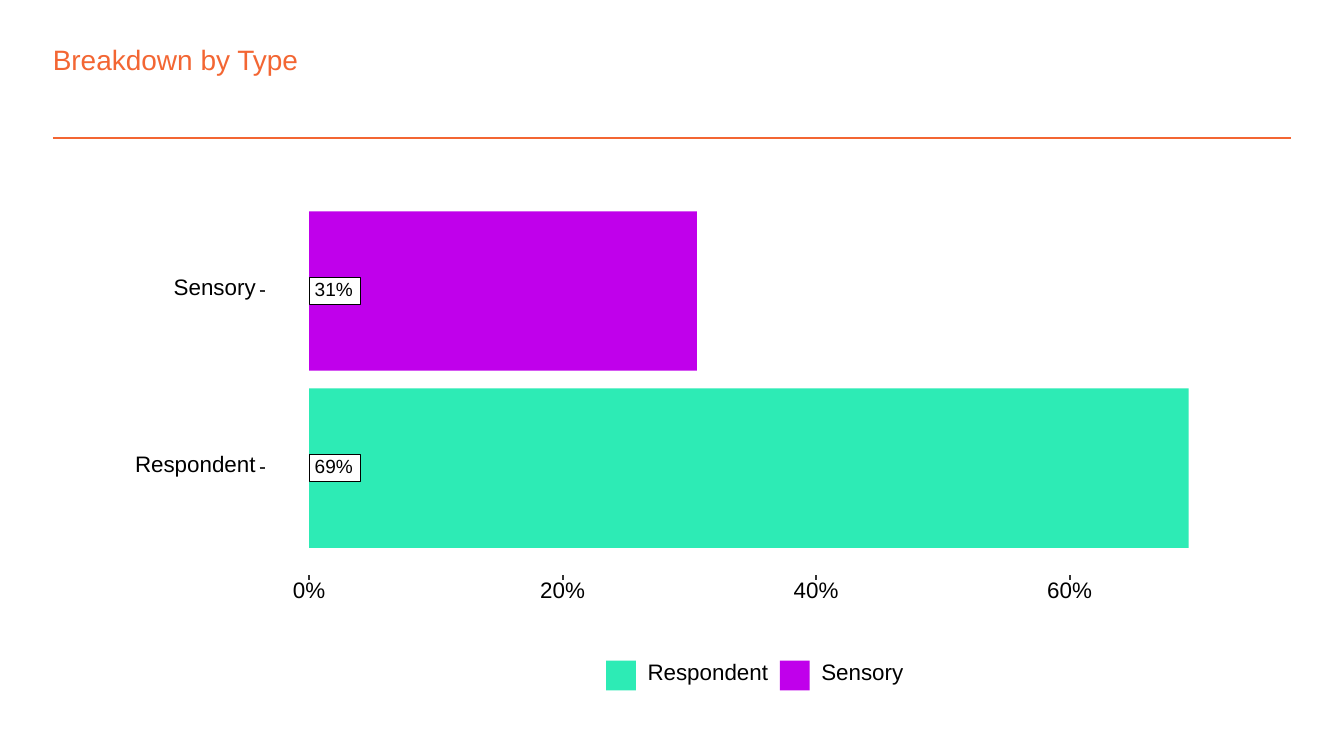
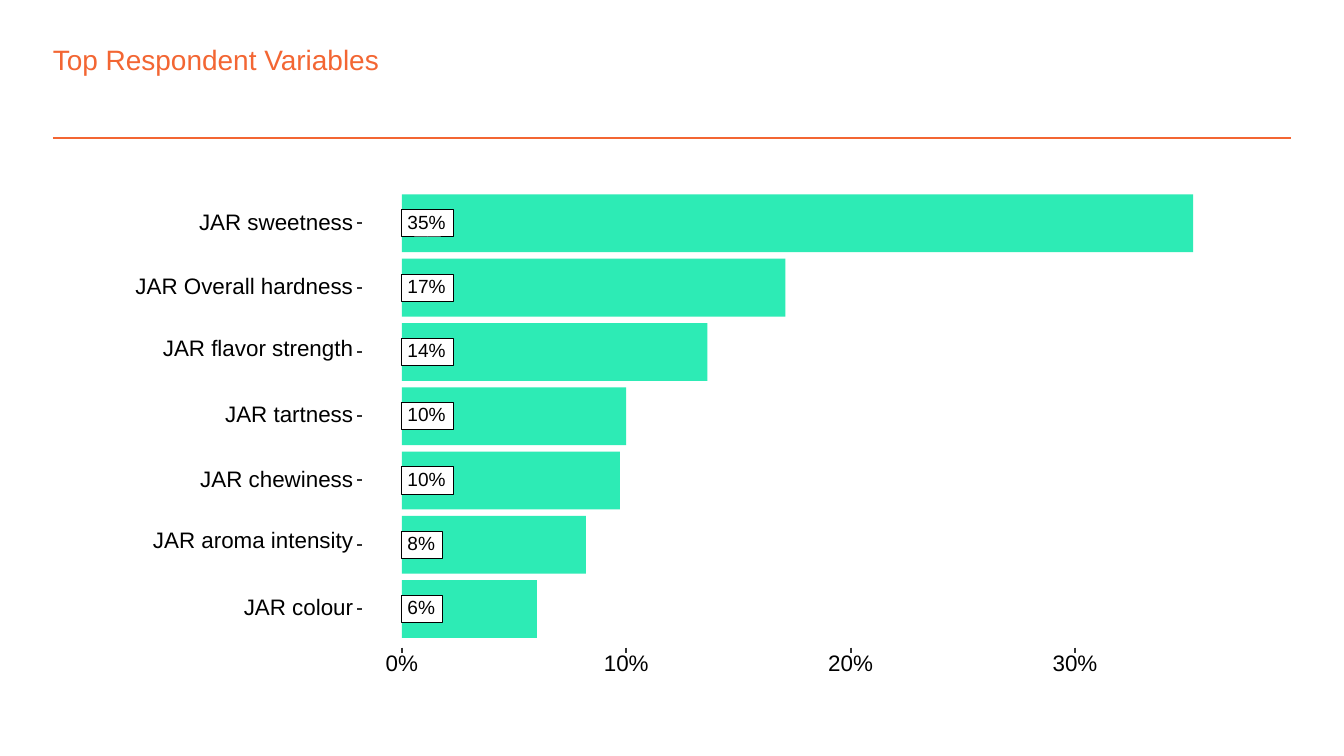
"""Build two bar breakdown slides with a shared title style."""
from dataclasses import dataclass

from lxml import etree
from pptx import Presentation
from pptx.dml.color import RGBColor
from pptx.enum.shapes import MSO_CONNECTOR, MSO_SHAPE
from pptx.enum.text import MSO_ANCHOR, PP_ALIGN
from pptx.oxml.ns import qn
from pptx.util import Pt

RECTANGLE = MSO_SHAPE.RECTANGLE
STRAIGHT = MSO_CONNECTOR.STRAIGHT
MIDDLE = MSO_ANCHOR.MIDDLE
LEFT, CENTER, RIGHT = PP_ALIGN.LEFT, PP_ALIGN.CENTER, PP_ALIGN.RIGHT

FONT = "Arial"
ORANGE = "F36633"
MINT = "2DEBB5"
PURPLE = "C000EB"
WHITE = "FFFFFF"
BLACK = "000000"
TICK_GRAY = "333333"

BLANK_LAYOUT = 6
TITLE_SIZE, AXIS_SIZE, VALUE_SIZE = 15, 12, 10.2
BAR_SHARE = 0.9
TICK_LENGTH = 2.75
TICK_WIDTH = 1.07
SWATCH_SIZE = 16


@dataclass
class Bar:
    """One category with its percentage, colour and label width."""
    label: str
    percent: float
    color: str
    label_width: float


@dataclass
class Plot:
    """Position and scale of a horizontal bar plot."""
    origin: float
    first_center: float
    pitch: float
    points_per_percent: float
    tick_left: float
    tick_top: float
    axis_step: int


TYPE_BARS = [
    Bar("Sensory", 30.6, PURPLE, 45),
    Bar("Respondent", 69.4, MINT, 66),
]
VARIABLE_BARS = [
    Bar("JAR sweetness", 35.27, MINT, 85),
    Bar("JAR Overall hardness", 17.1, MINT, 119),
    Bar("JAR flavor strength", 13.62, MINT, 104),
    Bar("JAR tartness", 10, MINT, 71),
    Bar("JAR chewiness", 9.72, MINT, 84),
    Bar("JAR aroma intensity", 8.2, MINT, 110),
    Bar("JAR colour", 6.02, MINT, 61),
]
TYPE_PLOT = Plot(165.6, 155.9, 94.9, 6.79, 139.1, 308.2, 20)
VARIABLE_PLOT = Plot(215.3, 119.68, 34.44, 12.02, 191.3, 347, 10)


def color_of(code):
    """Return the colour for a hex string."""
    return RGBColor.from_string(code)


def write_text(shape, text, size, color, align=LEFT):
    """Set one line of styled text without margins or wrapping."""
    frame = shape.text_frame
    frame.word_wrap = False
    frame.margin_left = frame.margin_right = 0
    frame.margin_top = frame.margin_bottom = 0
    frame.text = text
    para = frame.paragraphs[0]
    para.alignment = align
    font = para.runs[0].font
    font.name = FONT
    font.size = Pt(size)
    font.color.rgb = color_of(color)
    return frame


def add_rectangle(shapes, left, top, width, height, fill, line=None):
    """Add a flat rectangle with an optional thin outline."""
    shape = shapes.add_shape(RECTANGLE, Pt(left), Pt(top), Pt(width), Pt(height))
    shape.shadow.inherit = False
    shape.fill.solid()
    shape.fill.fore_color.rgb = color_of(fill)
    if line:
        shape.line.color.rgb = color_of(line)
        shape.line.width = Pt(0.53)
    else:
        shape.line.fill.background()
    return shape


def add_line(shapes, left, top, right, bottom, color, width):
    """Add a straight line without a shadow."""
    line = shapes.add_connector(STRAIGHT, Pt(left), Pt(top), Pt(right), Pt(bottom))
    line.line.color.rgb = color_of(color)
    line.line.width = Pt(width)
    etree.SubElement(line.element.spPr, qn("a:effectLst"))


def add_label(shapes, text, left, center, width, align):
    """Add a black axis label, raised slightly if it has descenders."""
    descends = any(letter in "gpqy" for letter in text)
    height = 11.2 if descends else 9
    lift = 1.4 if descends else 0
    box = shapes.add_textbox(Pt(left), Pt(center - lift - height / 2), Pt(width), Pt(height))
    frame = write_text(box, text, AXIS_SIZE, BLACK, align)
    frame.vertical_anchor = MIDDLE
    frame.paragraphs[0].line_spacing = Pt(AXIS_SIZE)


def add_value_tag(shapes, percent, left, center):
    """Add the outlined white tag with a rounded percentage."""
    text = f"{percent:.0f}%"
    width = 27.5 if len(text) > 2 else 22
    tag = add_rectangle(shapes, left, center - 7.3, width, 14.6, WHITE, BLACK)
    frame = write_text(tag, text, VALUE_SIZE, BLACK)
    frame.margin_left = Pt(3)
    frame.vertical_anchor = MIDDLE
    frame.paragraphs[0].line_spacing = Pt(VALUE_SIZE)


def add_bar(shapes, plot, index, bar):
    """Add a bar with its value tag, category label and tick."""
    center = plot.first_center + index * plot.pitch
    height = plot.pitch * BAR_SHARE
    width = bar.percent * plot.points_per_percent
    add_rectangle(shapes, plot.origin, center - height / 2, width, height, bar.color)
    add_value_tag(shapes, bar.percent, plot.origin, center)
    label_left = plot.tick_left - 2 - bar.label_width
    add_label(shapes, bar.label, label_left, center, bar.label_width, RIGHT)
    tick_right = plot.tick_left + TICK_LENGTH
    add_line(shapes, plot.tick_left, center, tick_right, center, TICK_GRAY, TICK_WIDTH)


def add_value_axis(shapes, plot):
    """Add four evenly spaced percentage ticks with labels."""
    for index in range(4):
        percent = index * plot.axis_step
        x = plot.origin + percent * plot.points_per_percent
        tick_bottom = plot.tick_top + TICK_LENGTH
        add_line(shapes, x, plot.tick_top, x, tick_bottom, TICK_GRAY, TICK_WIDTH)
        width = 26 if percent else 20
        add_label(shapes, f"{percent}%", x - width / 2, plot.tick_top + 9, width, CENTER)


def add_plot(page, plot, bars):
    """Add a grouped bar plot and return the shapes of its group."""
    shapes = page.shapes.add_group_shape().shapes
    for index, bar in enumerate(bars):
        add_bar(shapes, plot, index, bar)
    add_value_axis(shapes, plot)
    return shapes


def add_legend(shapes, bars):
    """Add a row of colour swatches with their names."""
    left = 324.7
    for bar in bars:
        add_rectangle(shapes, left, 354, SWATCH_SIZE, SWATCH_SIZE, bar.color)
        label_left = left + SWATCH_SIZE + 6.2
        add_label(shapes, bar.label, label_left, 362.4, bar.label_width, LEFT)
        left = label_left + bar.label_width + 4.9


def add_page(deck, title):
    """Add a blank slide with the shared title and rule."""
    page = deck.slides.add_slide(deck.slide_layouts[BLANK_LAYOUT])
    add_line(page.shapes, 28.3, 74, 691.7, 74, ORANGE, 1)
    box = page.shapes.add_textbox(Pt(28.3), Pt(22.7), Pt(597), Pt(18))
    frame = write_text(box, title, TITLE_SIZE, ORANGE)
    frame.word_wrap = True
    return page


def main():
    """Build and save the deck."""
    deck = Presentation()
    deck.slide_width, deck.slide_height = Pt(720), Pt(405)

    page = add_page(deck, "Breakdown by Type")
    shapes = add_plot(page, TYPE_PLOT, TYPE_BARS)
    add_legend(shapes, TYPE_BARS[::-1])

    page = add_page(deck, "Top Respondent Variables")
    add_plot(page, VARIABLE_PLOT, VARIABLE_BARS)

    deck.save("out.pptx")


if __name__ == "__main__":
    main()
